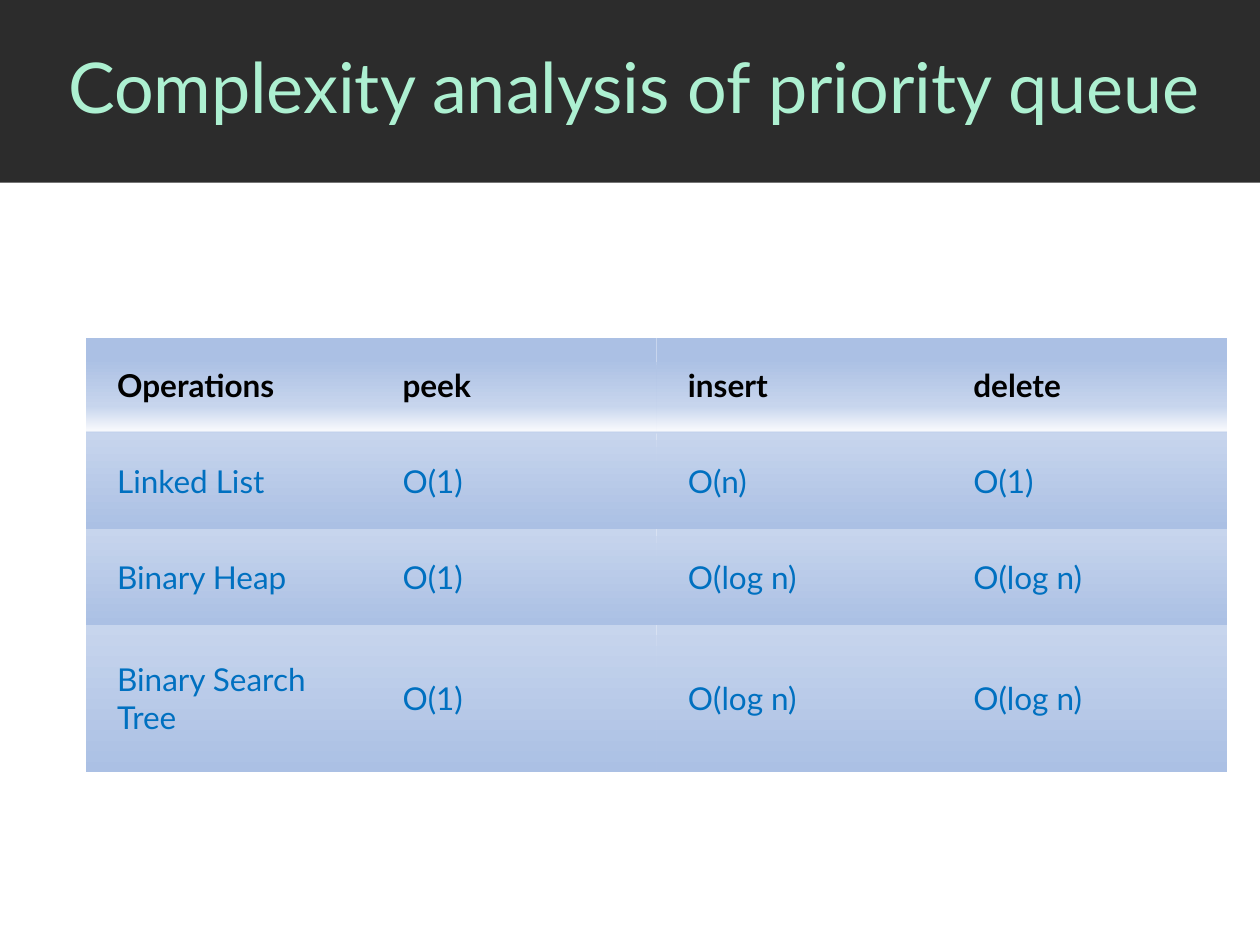
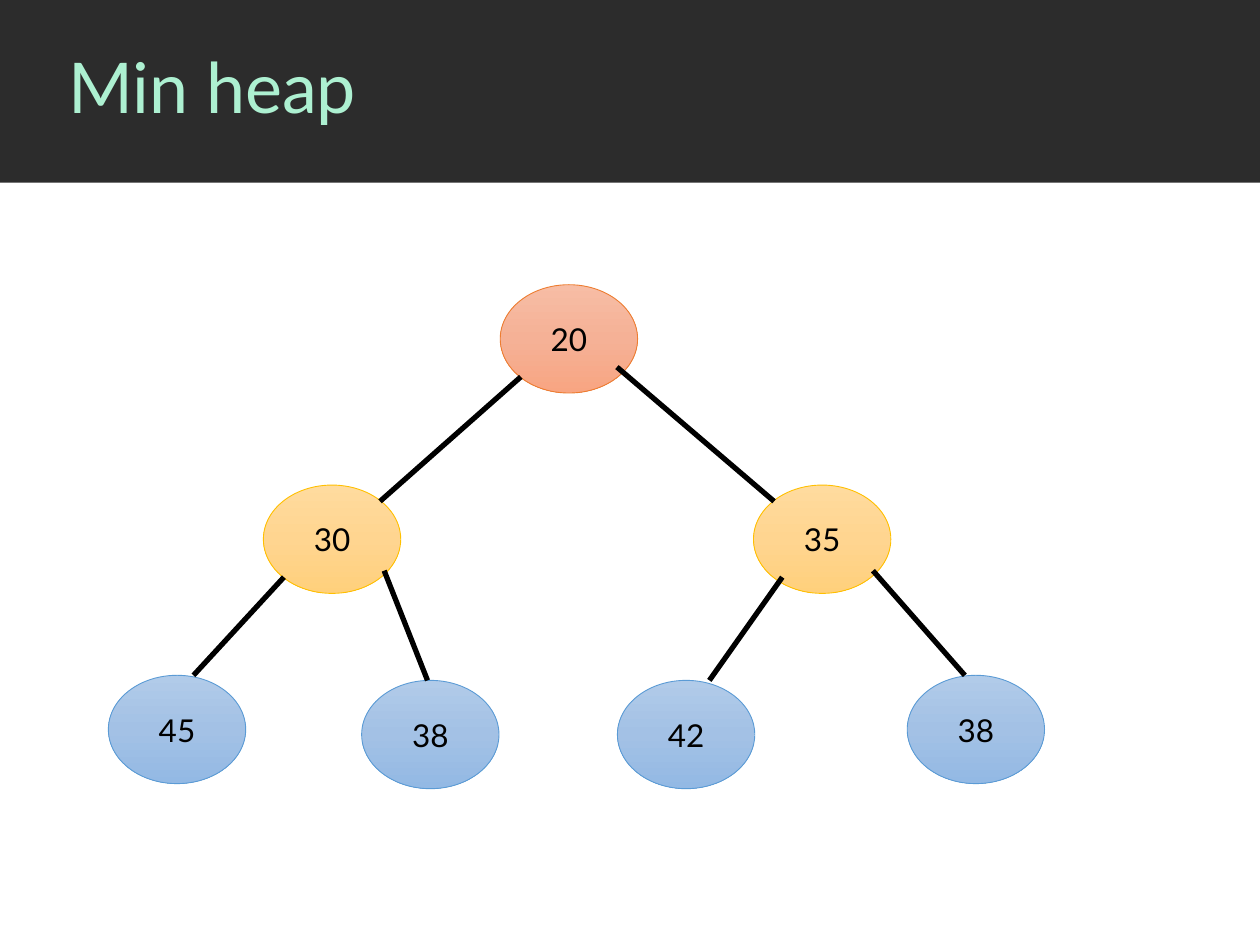
from lxml import etree
from pptx import Presentation
from pptx.dml.color import RGBColor
from pptx.enum.shapes import MSO_CONNECTOR, MSO_SHAPE
from pptx.enum.text import MSO_ANCHOR, MSO_AUTO_SIZE, PP_ALIGN
from pptx.oxml.ns import qn
from pptx.util import Inches, Pt

RECT, OVAL = MSO_SHAPE.RECTANGLE, MSO_SHAPE.OVAL
LINE = MSO_CONNECTOR.STRAIGHT
MIDDLE = MSO_ANCHOR.MIDDLE
LEFT, CENTER = PP_ALIGN.LEFT, PP_ALIGN.CENTER
FIXED = MSO_AUTO_SIZE.NONE

WIDE, HIGH = Inches(10), Inches(7.5)
BAND = Inches(1.45)
BODY = (0, BAND, WIDE, HIGH - BAND)
NO_GRID = "{2D5ABB26-0587-4C30-8999-92F81FD0307C}"

COLORS = {
    "band": "2C2C2C", "title": "ADF0D1", "ink": "000000", "link": "0070C0",
    "root": "ED7D31", "inner": "FFC000", "leaf": "5B9BD5",
}
FADES = {
    "head": [(22, "ABC0E4"), (71, "C7D5ED"), (97, "F6F8FC"), (100, "ABC0E4")],
    "row": [(0, "F6F8FC"), (0, "ABC0E4"), (0, "C7D5ED"), (100, "ABC0E4")],
    "root": [(0, "F7BDA5"), (50, "F5B196"), (100, "F8A582")],
    "inner": [(0, "FFDB9E"), (50, "FFD590"), (100, "FFD07C")],
    "leaf": [(0, "B1CBE9"), (50, "A3C1E5"), (100, "93B9E4")],
}
FORMATS = {
    "title": {"name": "Lato", "size": Pt(40), "bold": False},
    "head": {"name": "Lato", "size": Pt(18), "bold": True},
    "text": {"name": "Lato", "size": Pt(18), "bold": False},
}
CELL = {
    "vertical_anchor": MIDDLE,
    "margin_left": Inches(0.25), "margin_right": Inches(0.25),
    "margin_top": Inches(0.12), "margin_bottom": Inches(0.12),
}

COSTS = [
    ("Operations", "peek", "insert", "delete"),
    ("Linked List", "O(1)", "O(n)", "O(1)"),
    ("Binary Heap", "O(1)", "O(log n)", "O(log n)"),
    ("Binary Search Tree", "O(1)", "O(log n)", "O(log n)"),
]
ROWS = (0.76, 0.76, 0.76, 1.17)

NODES = [
    ("20", "root", 3.97, 0.81),
    ("30", "inner", 2.09, 2.4), ("35", "inner", 5.98, 2.4),
    ("45", "leaf", 0.86, 3.91), ("38", "leaf", 2.87, 3.95),
    ("42", "leaf", 4.9, 3.95), ("38", "leaf", 7.2, 3.91),
]
EDGES = [
    ((0.15, 0.85), (0.85, 0.15)), ((0.85, 0.76), (0.15, 0.15)),
    ((0.15, 0.85), (0.62, 0)), ((0.88, 0.79), (0.48, 0)),
    ((0.21, 0.85), (0.67, 0)), ((0.87, 0.79), (0.42, 0)),
]


def tint(name):
    return RGBColor.from_string(COLORS[name])


def assign(item, values):
    for key, value in values.items():
        setattr(item, key, value)


def write(frame, text, style, color, align=LEFT):
    frame.text = text
    para = frame.paragraphs[0]
    para.alignment = align
    assign(para.font, FORMATS[style])
    para.font.color.rgb = tint(color)
    return para


def fade(fill, node, name):
    fill.gradient()
    fill.gradient_angle = 270
    stops = next(node.iter(qn("a:gsLst")))
    for stop in list(stops):
        stops.remove(stop)
    for share, color in FADES[name]:
        stop = etree.SubElement(stops, qn("a:gs"), pos=str(share * 1000))
        etree.SubElement(stop, qn("a:srgbClr"), val=color)


def add_band(slide):
    band = slide.shapes.add_shape(RECT, 0, 0, WIDE, BAND)
    band.shadow.inherit = False
    band.fill.solid()
    band.fill.fore_color.rgb = tint("band")
    band.line.fill.background()
    slide.slide_layout.shapes._spTree.insert(2, band._element)


def add_title(slide, text):
    title = slide.shapes.title
    left = Inches(0.44)
    assign(title, {"left": left, "top": 0, "width": WIDE - left, "height": Inches(1.44)})
    frame = title.text_frame
    assign(frame, {"vertical_anchor": MIDDLE, "word_wrap": True, "auto_size": FIXED})
    write(frame, text, "title", "title").line_spacing = 0.9


def add_costs(slide, box):
    left, top, width, height = box
    unit = width / 10
    frame = slide.shapes.add_table(
        len(COSTS), len(COSTS[0]), int(left + 0.68 * unit), int(top + 1.23 * unit),
        int(9.06 * unit), int(sum(ROWS) * unit))
    table = frame.table
    next(frame._element.iter(qn("a:tableStyleId"))).text = NO_GRID
    for r, (texts, size) in enumerate(zip(COSTS, ROWS)):
        table.rows[r].height = int(size * unit)
        style, shade, color = ("text", "row", "link") if r else ("head", "head", "ink")
        for c, text in enumerate(texts):
            cell = table.cell(r, c)
            assign(cell, CELL)
            fade(cell.fill, cell._tc, shade)
            write(cell.text_frame, text, style, color)


def add_node(slide, box, text, level):
    node = slide.shapes.add_shape(OVAL, *box)
    node.shadow.inherit = False
    fade(node.fill, node._element.spPr, level)
    node.line.color.rgb = tint(level)
    node.line.width = Pt(0.5)
    node.text_frame.vertical_anchor = MIDDLE
    write(node.text_frame, text, "text", "ink", CENTER)
    return node


def add_edge(slide, parent, child, start, end):
    ends = []
    for node, (across, down) in ((parent, start), (child, end)):
        ends += [int(node.left + across * node.width), int(node.top + down * node.height)]
    edge = slide.shapes.add_connector(LINE, *ends)
    edge.line.color.rgb = tint("ink")
    edge.line.width = Pt(3)
    etree.SubElement(edge._element.spPr, qn("a:effectLst"))


def add_tree(slide, box):
    left, top, width, height = box
    unit = width / 10
    nodes = []
    for text, level, x, y in NODES:
        place = (left + x * unit, top + y * unit, 1.09 * unit, 0.86 * unit)
        nodes.append(add_node(slide, map(int, place), text, level))
    for i, (start, end) in enumerate(EDGES):
        add_edge(slide, nodes[i // 2], nodes[i + 1], start, end)


def main():
    deck = Presentation()
    deck.slide_width, deck.slide_height = WIDE, HIGH
    layout = deck.slide_layouts[5]
    pages = [
        ("Complexity analysis of priority queue", add_costs),
        ("Min heap", add_tree),
    ]
    for i, (title, draw) in enumerate(pages):
        slide = deck.slides.add_slide(layout)
        if i == 0:
            add_band(slide)
        add_title(slide, title)
        draw(slide, BODY)
    deck.save("out.pptx")


if __name__ == "__main__":
    main()
